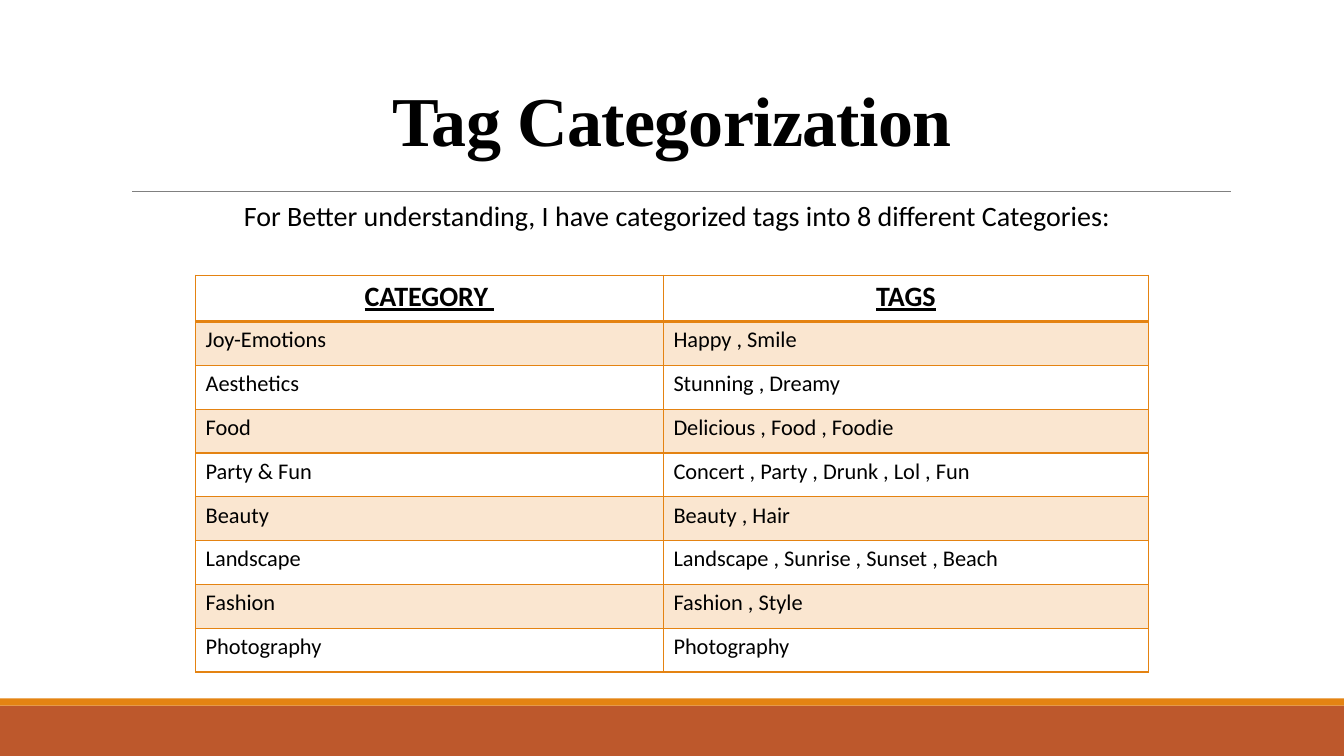
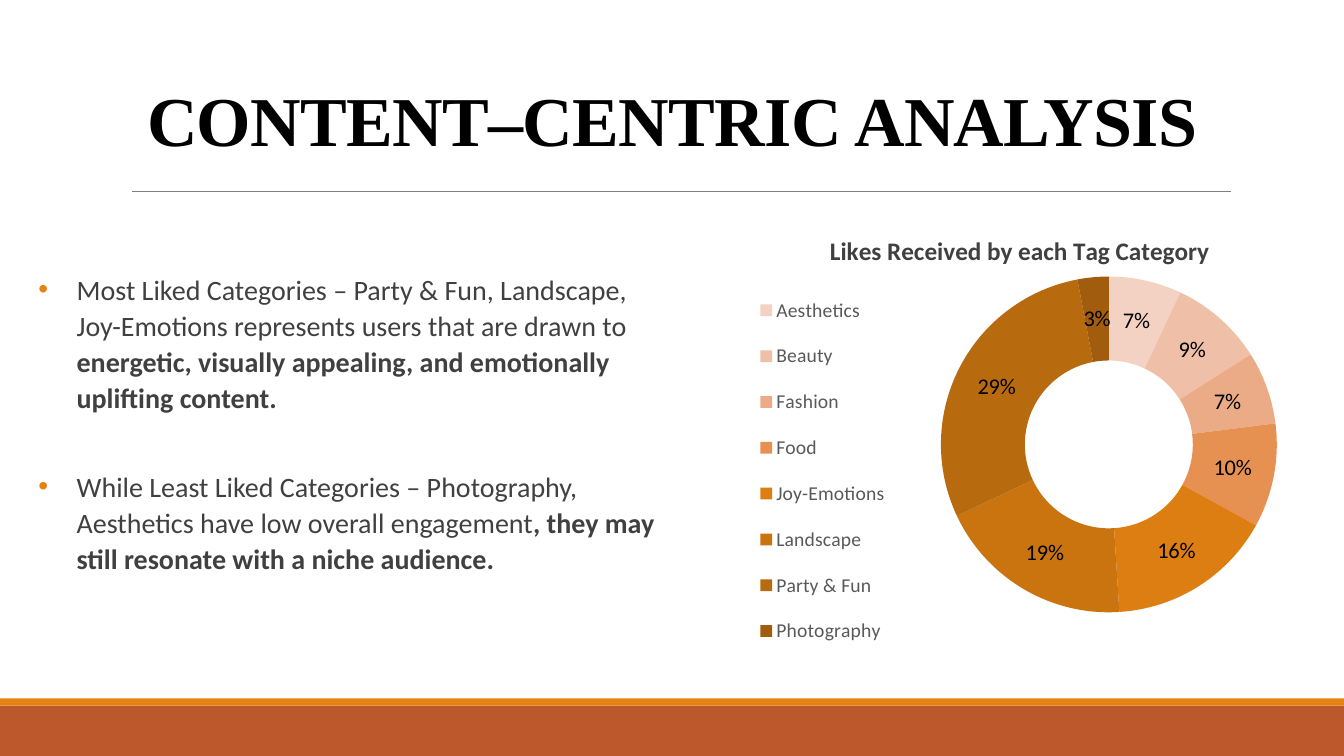
import pptx
import pptx.chart.data
import pptx.dml.color
import pptx.enum.chart
import pptx.enum.shapes
import pptx.enum.text
import pptx.oxml
import pptx.oxml.ns
import pptx.util

Inches, Pt = pptx.util.Inches, pptx.util.Pt
qn = pptx.oxml.ns.qn
ALIGN = pptx.enum.text.PP_ALIGN

ORANGE, RUST, GREY = "E48312", "BD582C", "808080"
BLACK, DARK, MEDIUM = "000000", "404040", "595959"
WHITE, PALE_ORANGE = "FFFFFF", "FAE6D0"
TITLE_FONT, BODY_FONT = "Times New Roman", "Calibri"
SLIDE_W, SLIDE_H = 13.33, 7.5

INTRO = "For Better understanding, I have categorized tags into 8 different Categories:"
TAG_TABLE = [
    ("CATEGORY ", "TAGS"),
    ("Joy-Emotions", "Happy , Smile"),
    ("Aesthetics", "Stunning , Dreamy"),
    ("Food", "Delicious , Food , Foodie"),
    ("Party & Fun", "Concert , Party , Drunk , Lol , Fun"),
    ("Beauty", "Beauty , Hair"),
    ("Landscape", "Landscape , Sunrise , Sunset , Beach"),
    ("Fashion", "Fashion , Style"),
    ("Photography", "Photography"),
]
COLUMN_WIDTHS = (4.64, 4.81)
HEADER_HEIGHT, ROW_HEIGHT = 0.46, 0.435

# Each finding: plain opening, bold conclusion
FINDINGS = [
    ("Most Liked Categories – Party & Fun, Landscape, Joy-Emotions represents "
     "users that are drawn to ",
     "energetic, visually appealing, and emotionally uplifting content."),
    ("While Least Liked Categories – Photography, Aesthetics have low overall engagement",
     ", they may still resonate with a niche audience."),
]
CHART_TITLE = "Likes Received by each Tag Category"
LIKES = [  # category, percent, slice colour
    ("Aesthetics", 7, "F3D2C3"),
    ("Beauty", 9, "EFBFA8"),
    ("Fashion", 7, "EBAB87"),
    ("Food", 10, "E69151"),
    ("Joy-Emotions", 16, "DC7E11"),
    ("Landscape", 19, "CA7410"),
    ("Party & Fun", 29, "B86A0F"),
    ("Photography", 3, "A15D0D"),
]


def rgb(hex_colour):
    return pptx.dml.color.RGBColor.from_string(hex_colour)


def style_font(font, size, colour, name=BODY_FONT, bold=None):
    font.name, font.size, font.bold = name, Pt(size), bold
    font.color.rgb = rgb(colour)


def place(shape, left, top, width, height):
    shape.left, shape.top = Inches(left), Inches(top)
    shape.width, shape.height = Inches(width), Inches(height)


def add_xml(parent, xml):
    namespace = pptx.oxml.ns.nsdecls("a")
    parent.append(pptx.oxml.parse_xml(xml.replace("NS", namespace, 1)))


def prepare_layout(layout, slide):
    """Give the layout its title place, bands and rule, drawn through a slide."""
    for placeholder in list(layout.placeholders):
        if placeholder.placeholder_format.idx >= 10:
            layout.shapes.element.remove(placeholder.element)
    place(layout.placeholders[0], 0, 0.04, SLIDE_W, 1.61)

    for top, height, colour in ((7, 0.5, RUST), (6.93, 0.07, ORANGE)):
        band = slide.shapes.add_shape(
            pptx.enum.shapes.MSO_SHAPE.RECTANGLE,
            0, Inches(top), Inches(SLIDE_W), Inches(height))
        band.shadow.inherit = False
        band.fill.solid()
        band.fill.fore_color.rgb = rgb(colour)
        band.line.fill.background()

    rule = slide.shapes.add_connector(
        pptx.enum.shapes.MSO_CONNECTOR.STRAIGHT,
        Inches(1.31), Inches(1.9), Inches(12.21), Inches(1.9))
    rule.line.color.rgb = rgb(GREY)
    rule.line.width = Pt(0.5)
    add_xml(rule.element.spPr, "<a:effectLst NS/>")

    for shape in list(slide.shapes):
        if not shape.is_placeholder:
            layout.shapes.element.append(shape.element)


def set_title(slide, text):
    frame = slide.shapes.title.text_frame
    frame.text = text
    frame.vertical_anchor = pptx.enum.text.MSO_ANCHOR.BOTTOM
    frame.auto_size = pptx.enum.text.MSO_AUTO_SIZE.NONE
    title = frame.paragraphs[0]
    title.alignment, title.line_spacing = ALIGN.CENTER, 0.85
    style_font(title.font, 50, BLACK, TITLE_FONT, True)
    title.font._element.set("spc", "-50")


def body_frame(slide, *box):
    body = slide.placeholders[1]
    place(body, *box)
    frame = body.text_frame
    frame.margin_left = frame.margin_right = 0
    frame.vertical_anchor = pptx.enum.text.MSO_ANCHOR.TOP
    frame.auto_size = pptx.enum.text.MSO_AUTO_SIZE.NONE
    return frame


def set_indent(paragraph, left, first, bullet=None):
    props = paragraph._p.get_or_add_pPr()
    props.set("marL", str(Inches(left)))
    props.set("indent", str(Inches(first)))
    if bullet:
        add_xml(props, f'<a:buClr NS><a:srgbClr val="{ORANGE}"/></a:buClr>')
        add_xml(props, f'<a:buChar NS char="{bullet}"/>')
    else:
        add_xml(props, "<a:buNone NS/>")


def set_borders(cell, **widths):
    props = cell._tc.get_or_add_tcPr()
    for side in "LRTB":
        width = Pt(widths.get(side, 1))
        add_xml(props, f'<a:ln{side} NS w="{width}"><a:solidFill>'
                       f'<a:srgbClr val="{ORANGE}"/></a:solidFill></a:ln{side}>')


def add_tag_table(slide):
    body_rows = len(TAG_TABLE) - 1
    table = slide.shapes.add_table(
        len(TAG_TABLE), len(COLUMN_WIDTHS), Inches(1.94), Inches(2.73),
        Inches(sum(COLUMN_WIDTHS)),
        Inches(HEADER_HEIGHT + body_rows * ROW_HEIGHT)).table
    for column, width in zip(table.columns, COLUMN_WIDTHS):
        column.width = Inches(width)
    for r, texts in enumerate(TAG_TABLE):
        header = r == 0
        table.rows[r].height = Inches(HEADER_HEIGHT if header else ROW_HEIGHT)
        for c, text in enumerate(texts):
            cell = table.cell(r, c)
            set_borders(cell, T=2 if r == 1 else 1, B=2 if header else 1)
            cell.fill.solid()
            cell.fill.fore_color.rgb = rgb(PALE_ORANGE if r % 2 else WHITE)
            cell.text = text
            paragraph = cell.text_frame.paragraphs[0]
            paragraph.alignment = ALIGN.CENTER if header else ALIGN.LEFT
            style_font(paragraph.font, 20 if header else 16, BLACK, bold=header)
            paragraph.font.underline = header


def set_chart_layout(element, index, **fractions):
    """Place a chart part by fractions of the chart's width and height."""
    for old in element.findall(qn("c:layout")):
        element.remove(old)
    target = '<c:layoutTarget val="inner"/>' if index == 0 else ""
    modes = "".join(f'<c:{key}Mode val="edge"/>' for key in "xy")
    values = "".join(f'<c:{key} val="{value}"/>' for key, value in fractions.items())
    element.insert(index, pptx.oxml.parse_xml(
        f'<c:layout {pptx.oxml.ns.nsdecls("c")}><c:manualLayout>'
        f'{target}{modes}{values}</c:manualLayout></c:layout>'))


def add_likes_chart(slide):
    categories, percents, colours = zip(*LIKES)
    data = pptx.chart.data.CategoryChartData()
    data.categories = categories
    data.add_series("Series 1", percents)
    chart = slide.shapes.add_chart(
        pptx.enum.chart.XL_CHART_TYPE.DOUGHNUT, Inches(7.21), Inches(2.03),
        Inches(5.74), Inches(4.76), data).chart
    style_font(chart.font, 16, BLACK)

    chart.has_title = True
    chart.chart_title.text_frame.text = CHART_TITLE
    style_font(chart.chart_title.text_frame.paragraphs[0].font, 18, DARK, bold=True)
    set_chart_layout(chart.chart_title._element, 1, x=0.17, y=0.05)

    chart.has_legend = True
    legend = chart.legend
    legend.position = pptx.enum.chart.XL_LEGEND_POSITION.LEFT
    legend.include_in_layout = False
    style_font(legend.font, 14, MEDIUM)
    set_chart_layout(legend._element, 1, x=0.04, y=0.15, w=0.25, h=0.81)

    plot = chart.plots[0]
    plot.vary_by_categories = True
    set_chart_layout(plot._element.getparent(), 0, x=0.32, y=0.15, w=0.68, h=0.7)
    for i, colour in enumerate(colours):
        fill = plot.series[0].points[i].format.fill
        fill.solid()
        fill.fore_color.rgb = rgb(colour)
    plot.has_data_labels = True
    labels = plot.data_labels
    labels.show_percentage, labels.show_value = True, False
    labels.number_format, labels.number_format_is_linked = "0%", False
    style_font(labels.font, 16, BLACK)


def build_tags(slide):
    set_title(slide, "Tag Categorization")
    frame = body_frame(slide, 0, 1.96, SLIDE_W, 0.57)
    frame.text = INTRO
    intro = frame.paragraphs[0]
    intro.alignment, intro.line_spacing, intro.space_before = ALIGN.CENTER, 0.9, Pt(0)
    set_indent(intro, 0.1, 0)
    style_font(intro.font, 20, BLACK)
    add_tag_table(slide)


def build_analysis(slide):
    set_title(slide, "CONTENT–CENTRIC ANALYSIS")
    frame = body_frame(slide, 0.38, 2.63, 6.29, 4.23)
    for i, (opening, conclusion) in enumerate(FINDINGS):
        finding = frame.add_paragraph() if i else frame.paragraphs[0]
        finding.line_spacing, finding.space_before = 1.07, Pt(38 if i else 0)
        set_indent(finding, 0.38, -0.38, "•")
        style_font(finding.font, 20, DARK)
        finding.add_run().text = opening
        ending = finding.add_run()
        ending.text = conclusion
        ending.font.bold = True
    add_likes_chart(slide)


def main():
    deck = pptx.Presentation()
    deck.slide_width, deck.slide_height = Inches(SLIDE_W), Inches(SLIDE_H)
    layout = deck.slide_layouts[1]
    tags, analysis = (deck.slides.add_slide(layout) for _ in range(2))
    prepare_layout(layout, tags)
    build_tags(tags)
    build_analysis(analysis)
    deck.save("out.pptx")


if __name__ == "__main__":
    main()
